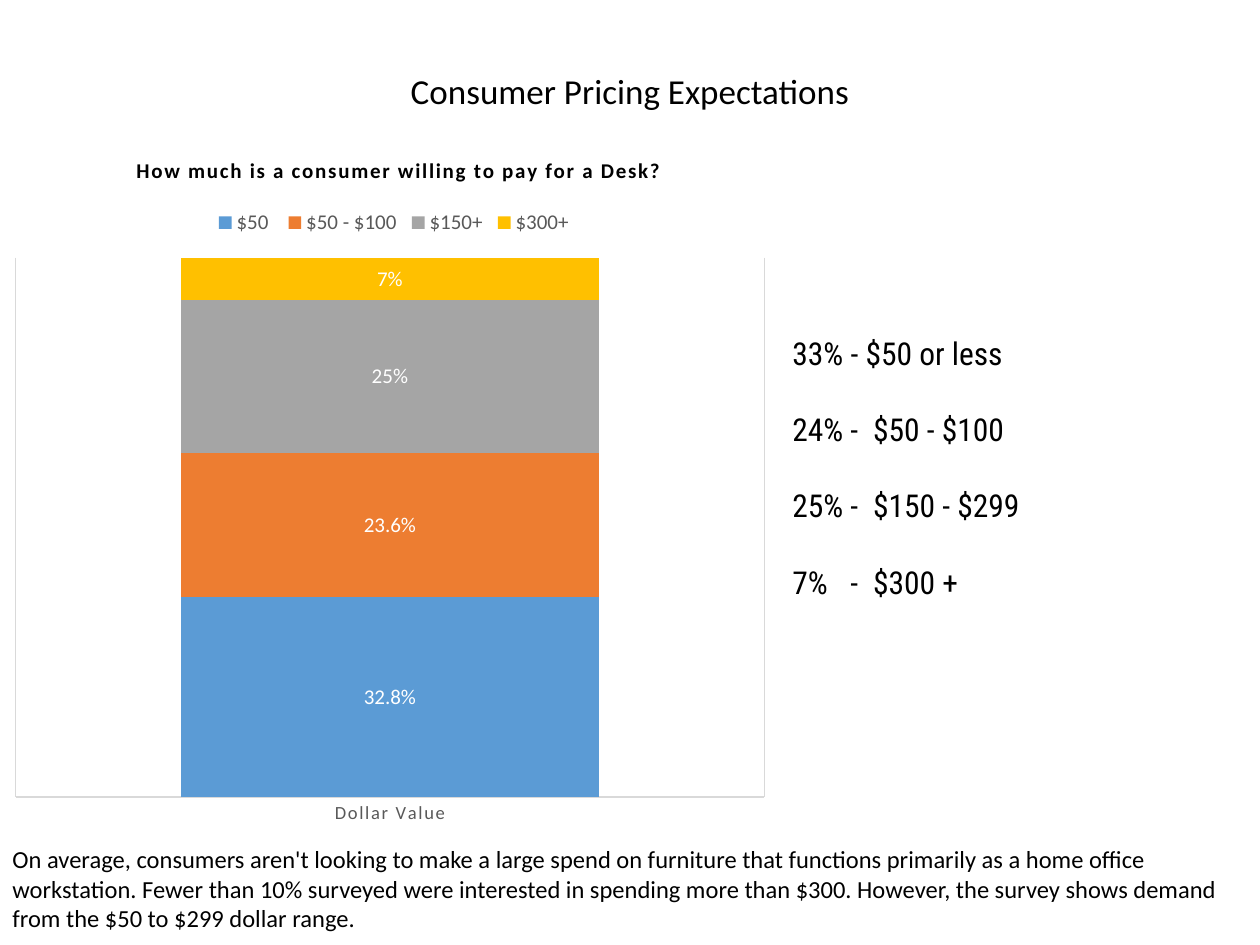
import dataclasses

import pptx
import pptx.chart.data
import pptx.dml.color
import pptx.enum.chart
import pptx.enum.text
import pptx.oxml
import pptx.oxml.ns
import pptx.util

Inches = pptx.util.Inches
Pt = pptx.util.Pt


@dataclasses.dataclass(frozen=True)
class Theme:
    body_font: str = "Calibri"
    list_font: str = "Roboto Condensed"
    ink: str = "000000"
    muted: str = "595959"
    rule: str = "D9D9D9"
    label: str = "FFFFFF"
    title_size: float = 20
    list_size: float = 18
    body_size: float = 14
    chart_size: float = 12
    axis_size: float = 10.6


THEME = Theme()

PRICE_BANDS = [
    ("$50 ", 32.8, '0.0"%"', "5B9BD5"),
    ("$50 - $100", 23.6, '0.0"%"', "ED7D31"),
    ("$150+", 25, '0"%"', "A5A5A5"),
    ("$300+", 7, '0"%"', "FFC000"),
]

SHARES = [
    "33% - $50 or less",
    "24%\t-\t$50 - $100",
    "25%\t-\t$150 - $299",
    "7%\t-\t$300 +",
]

SUMMARY = (
    "On average, consumers aren't looking to make a large spend on furniture "
    "that functions primarily as a home office workstation. Fewer than 10% "
    "surveyed were interested in spending more than $300. However, the survey "
    "shows demand from the $50 to $299 dollar range."
)


def rgb(value):
    return pptx.dml.color.RGBColor.from_string(value)


def style_font(font, size, color=THEME.ink, name=THEME.body_font, bold=False):
    font.size = Pt(size)
    font.name = name
    font.bold = bold
    font.color.rgb = rgb(color)


def write_text(para, text, **style):
    span = para.add_run()
    span.text = text
    style_font(span.font, **style)
    return span


def add_tabs(para, stops):
    tab_list = pptx.oxml.ns.qn("a:tabLst")
    holder = para._p.get_or_add_pPr().makeelement(tab_list, {})
    for stop in stops:
        tab = holder.makeelement(
            pptx.oxml.ns.qn("a:tab"), {"pos": str(Inches(stop)), "algn": "l"}
        )
        holder.append(tab)
    para._p.get_or_add_pPr().append(holder)


def manual_layout(left, top, width=None, height=None, inner=False):
    target = '<c:layoutTarget val="inner"/>' if inner else ""
    sizes = [("x", left), ("y", top), ("w", width), ("h", height)]
    given = [(key, value) for key, value in sizes if value is not None]
    modes = "".join(f'<c:{key}Mode val="edge"/>' for key, _ in given if key in "xy")
    values = "".join(f'<c:{key} val="{value}"/>' for key, value in given)
    return pptx.oxml.parse_xml(
        f'<c:layout {pptx.oxml.ns.nsdecls("c")}><c:manualLayout>'
        f"{target}{modes}{values}</c:manualLayout></c:layout>"
    )


def place(element, layout, before):
    for old in element.findall(pptx.oxml.ns.qn("c:layout")):
        element.remove(old)
    position = 0
    for index, child in enumerate(element):
        if child.tag in [pptx.oxml.ns.qn(tag) for tag in before]:
            position = index + 1
    element.insert(position, layout)


class SlideBuilder:
    def __init__(self, slide, theme):
        self.slide = slide
        self.theme = theme

    def text_box(self, left, top, width, height, lines, align=None,
                 gap=0, tabs=(), **style):
        box = self.slide.shapes.add_textbox(
            Inches(left), Inches(top), Inches(width), Inches(height)
        )
        frame = box.text_frame
        frame.word_wrap = True
        for index, line in enumerate(lines):
            para = frame.paragraphs[0] if index == 0 else frame.add_paragraph()
            para.alignment = align
            if index:
                para.space_before = Pt(gap)
            if "\t" in line:
                add_tabs(para, tabs)
            write_text(para, line, **style)
        return box

    def stacked_chart(self, left, top, width, height, title, category, bands):
        theme = self.theme
        data = pptx.chart.data.CategoryChartData()
        data.categories = [category]
        for name, value, number_format, _ in bands:
            data.add_series(name, [value], number_format)
        chart = self.slide.shapes.add_chart(
            pptx.enum.chart.XL_CHART_TYPE.COLUMN_STACKED_100,
            Inches(left), Inches(top), Inches(width), Inches(height), data,
        ).chart
        style_font(chart.font, 10)

        chart.has_title = True
        heading = chart.chart_title
        heading.include_in_layout = False
        span = write_text(heading.text_frame.paragraphs[0], title,
                          size=theme.chart_size, bold=True)
        span.font._element.set("spc", "100")
        place(heading._element, manual_layout(0.17, 0.02), ["c:tx"])

        chart.has_legend = True
        legend = chart.legend
        legend.position = pptx.enum.chart.XL_LEGEND_POSITION.TOP
        legend.include_in_layout = False
        style_font(legend.font, theme.chart_size, theme.muted)
        place(legend._element, manual_layout(0.27, 0.1, 0.47, 0.04),
              ["c:legendPos", "c:legendEntry"])

        plot = chart.plots[0]
        plot.gap_width = 79
        plot.overlap = 100
        plot.vary_by_categories = False
        place(chart._chartSpace.chart.plotArea,
              manual_layout(0.02, 0.17, 0.96, 0.77, inner=True), [])
        for series, (_, _, number_format, color) in zip(plot.series, bands):
            series.format.fill.solid()
            series.format.fill.fore_color.rgb = rgb(color)
            labels = series.data_labels
            labels.show_value = True
            labels.number_format = number_format
            labels.number_format_is_linked = False
            labels.position = pptx.enum.chart.XL_LABEL_POSITION.CENTER
            style_font(labels.font, theme.chart_size, theme.label)

        axis = chart.category_axis
        axis.major_tick_mark = pptx.enum.chart.XL_TICK_MARK.NONE
        axis.has_major_gridlines = True
        for line in (axis.format.line, axis.major_gridlines.format.line):
            line.color.rgb = rgb(theme.rule)
            line.width = Pt(0.75)
        style_font(axis.tick_labels.font, theme.axis_size, theme.muted)
        axis.tick_labels.font._element.set("spc", "100")
        chart.value_axis.has_major_gridlines = False
        chart.value_axis.visible = False
        return chart


def main():
    deck = pptx.Presentation()
    deck.slide_width = Inches(10)
    deck.slide_height = Inches(7.5)
    page = SlideBuilder(deck.slides.add_slide(deck.slide_layouts[6]), THEME)

    page.stacked_chart(0, 1.1, 6.19, 5.56,
                       "How much is a consumer willing to pay for a Desk?",
                       "Dollar Value", PRICE_BANDS)
    page.text_box(6.19, 2.6, 3.71, 3.13, SHARES, gap=22, tabs=(0.46, 0.64),
                  size=THEME.list_size, name=THEME.list_font)
    page.text_box(0, 6.65, 9.81, 0.81, [SUMMARY], size=THEME.body_size)
    page.text_box(0, 0.5, 10, 0.44, ["Consumer Pricing Expectations"],
                  align=pptx.enum.text.PP_ALIGN.CENTER, size=THEME.title_size)

    deck.save("out.pptx")


if __name__ == "__main__":
    main()
